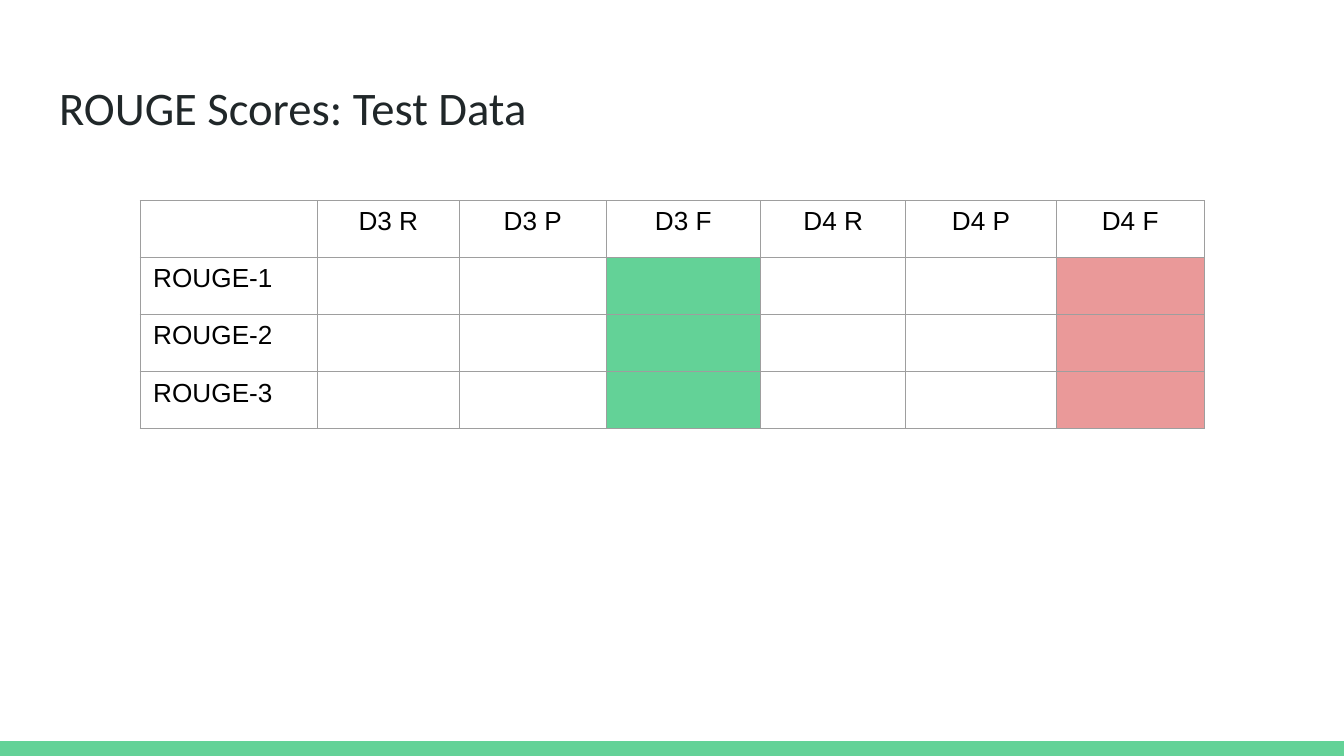
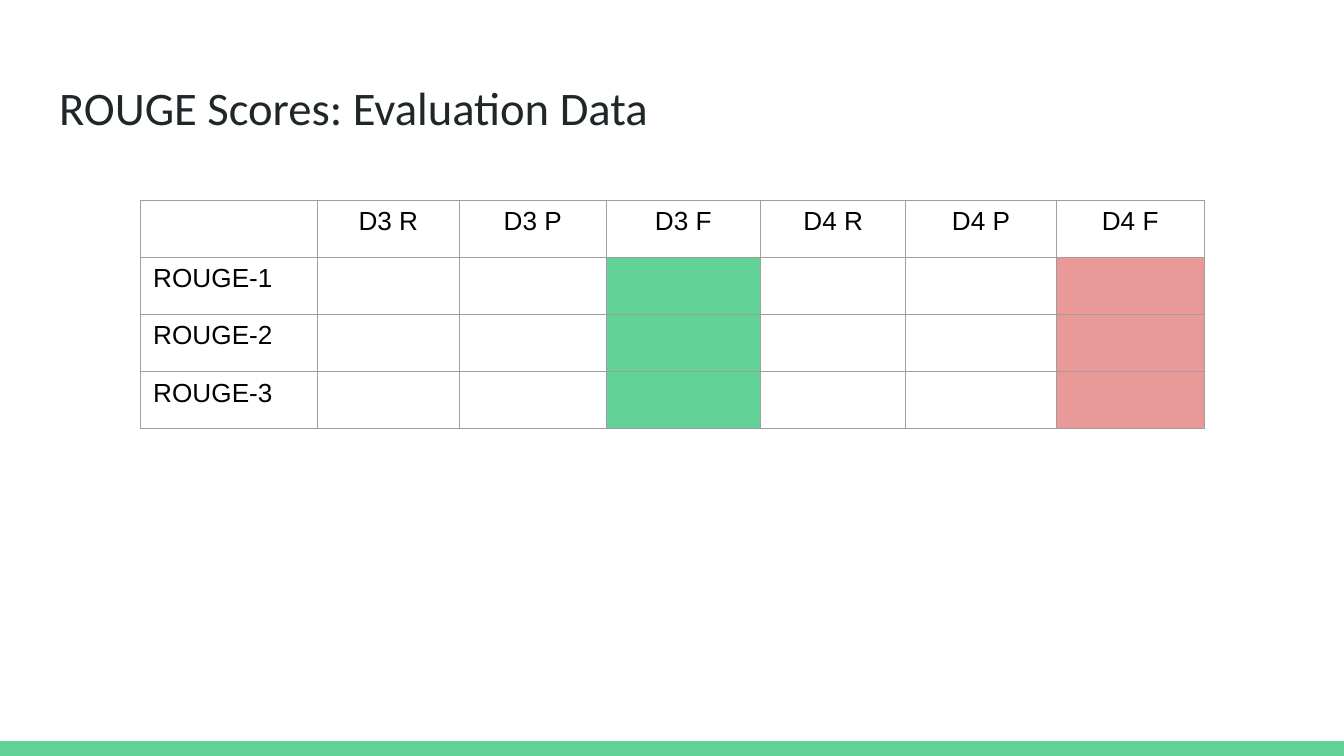
import pptx
import pptx.dml.color
import pptx.enum.shapes
import pptx.enum.text
import pptx.oxml
import pptx.oxml.ns
import pptx.util

GREEN, RED, GRAY = "63D297", "EA9999", "9E9E9E"
TITLE_FORMAT = {"name": "Calibri", "size": pptx.util.Pt(25), "bold": False}
CELL_FORMAT = {"name": "Arial", "size": pptx.util.Pt(14), "bold": False}
TITLES = ["ROUGE Scores: Test Data", "ROUGE Scores: Evaluation Data"]
HEADINGS = ["", "D3 R", "D3 P", "D3 F", "D4 R", "D4 P", "D4 F"]
METRICS = ["ROUGE-1", "ROUGE-2", "ROUGE-3"]
COLUMN_WIDTHS = [1.32, 1.06, 1.09, 1.15, 1.08, 1.12, 1.1]
F_SCORE_FILLS = {"D3 F": GREEN, "D4 F": RED}
BORDER_WIDTH = pptx.util.Pt(0.34)
BORDER_XML = (
    '<a:{side} {ns} w="{width}"><a:solidFill><a:srgbClr val="{color}"/>'
    "</a:solidFill></a:{side}>"
)

align = pptx.enum.text.PP_ALIGN
inch = pptx.util.Inches


def paint(fill, color):
    fill.solid()
    fill.fore_color.rgb = pptx.dml.color.RGBColor.from_string(color)


def format_font(font, values, color):
    for attribute, value in values.items():
        setattr(font, attribute, value)
    paint(font.fill, color)


deck = pptx.Presentation()
deck.slide_width = inch(10)
deck.slide_height = deck.slide_width * 9 // 16
band_height = inch(0.11)
margin = inch(0.34)

for heading in TITLES:
    slide = deck.slides.add_slide(deck.slide_layouts[5])
    paint(slide.background.fill, "FFFFFF")

    band = slide.shapes.add_shape(
        pptx.enum.shapes.MSO_SHAPE.RECTANGLE,
        0, deck.slide_height - band_height, deck.slide_width, band_height,
    )
    band.shadow.inherit = False
    paint(band.fill, GREEN)
    band.line.fill.background()

    title = slide.shapes.title
    title.left, title.top = margin, inch(0.49)
    title.width, title.height = deck.slide_width - 2 * margin, inch(0.63)
    frame = title.text_frame
    for side in ("left", "top", "right", "bottom"):
        setattr(frame, f"margin_{side}", inch(0.1))
    frame.vertical_anchor = pptx.enum.text.MSO_ANCHOR.TOP
    frame.text = heading
    frame.paragraphs[0].alignment = align.LEFT
    format_font(frame.paragraphs[0].runs[0].font, TITLE_FORMAT, "202729")

    scores = slide.shapes.add_table(
        len(METRICS) + 1, len(HEADINGS),
        inch(1.04), inch(1.49), inch(sum(COLUMN_WIDTHS)), inch(1.7),
    ).table
    scores.first_row = scores.horz_banding = False
    for column, width in zip(scores.columns, COLUMN_WIDTHS):
        column.width = inch(width)

    rows = [HEADINGS] + [[metric] + [""] * (len(HEADINGS) - 1) for metric in METRICS]
    for row, texts in enumerate(rows):
        for col, text in enumerate(texts):
            cell = scores.cell(row, col)
            properties = cell._tc.get_or_add_tcPr()
            for side in ("lnL", "lnR", "lnT", "lnB"):
                properties.append(pptx.oxml.parse_xml(BORDER_XML.format(
                    side=side, ns=pptx.oxml.ns.nsdecls("a"),
                    width=int(BORDER_WIDTH), color=GRAY,
                )))
            if row and HEADINGS[col] in F_SCORE_FILLS:
                paint(cell.fill, F_SCORE_FILLS[HEADINGS[col]])
            else:
                cell.fill.background()
            if text:
                cell.text = text
                paragraph = cell.text_frame.paragraphs[0]
                paragraph.alignment = align.LEFT if row else align.CENTER
                format_font(paragraph.runs[0].font, CELL_FORMAT, "000000")

deck.save("out.pptx")
